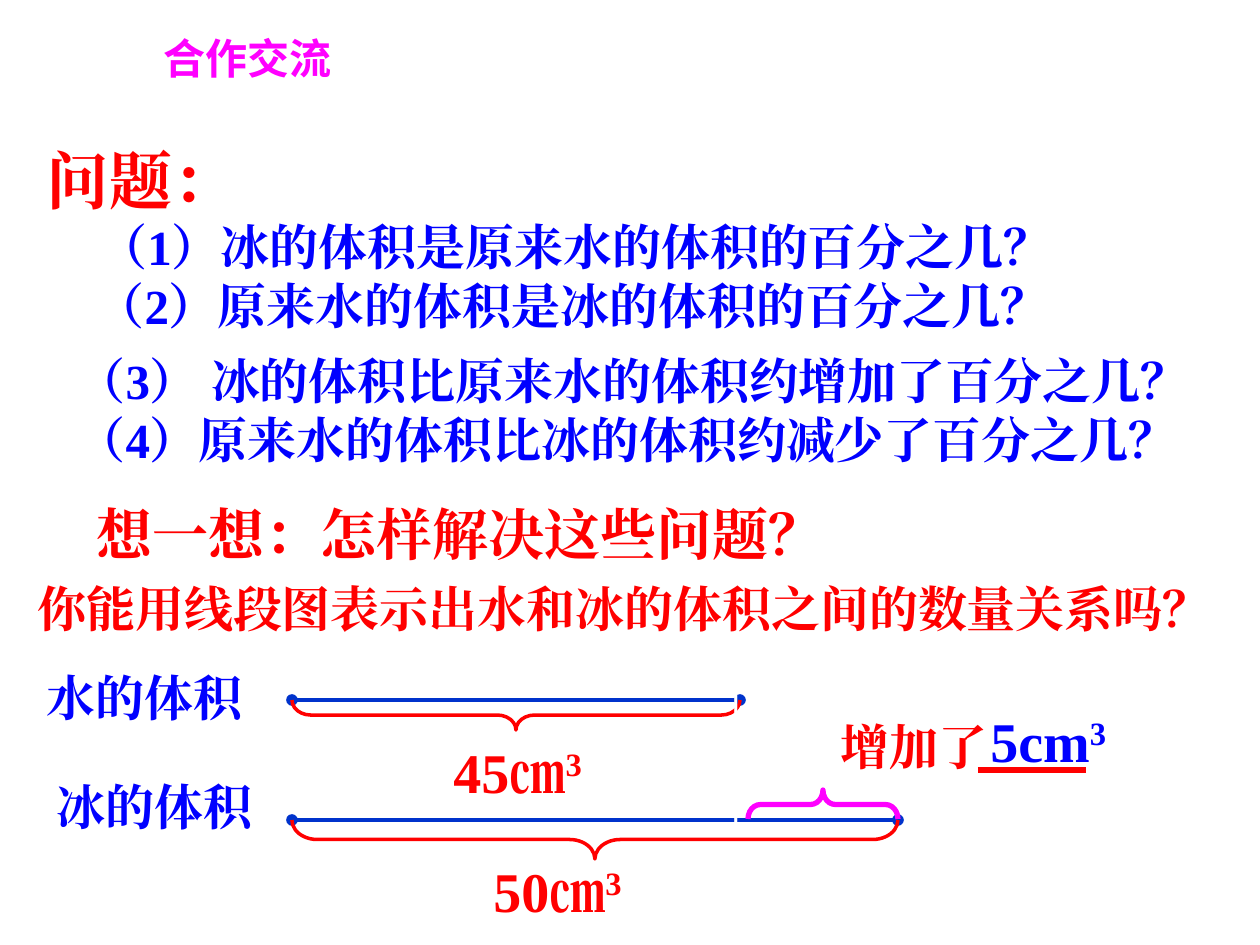
from pptx import Presentation
from pptx.dml.color import RGBColor
from pptx.enum.shapes import MSO_CONNECTOR, MSO_SHAPE
from pptx.enum.text import MSO_ANCHOR, MSO_AUTO_SIZE, PP_ALIGN
from pptx.oxml.ns import qn
from pptx.util import Pt
from lxml import etree

STRAIGHT = MSO_CONNECTOR.STRAIGHT
LEFT_BRACE, RIGHT_BRACE = MSO_SHAPE.LEFT_BRACE, MSO_SHAPE.RIGHT_BRACE
TOP, NO_FIT = MSO_ANCHOR.TOP, MSO_AUTO_SIZE.NONE
LEFT, CENTER = PP_ALIGN.LEFT, PP_ALIGN.CENTER

PX = 914400 / 126
SERIF, SANS = "Times New Roman", "Noto Sans CJK SC"
COLORS = {"red": "FF0000", "blue": "0000FF", "magenta": "FF00FF",
          "bar": "0033CC", "white": "FFFFFF"}
BAR_LEFT, WATER_END, ICE_END = 292, 740, 898
WATER_Y, ICE_Y = 700, 820


def px(length):
    return round(length * PX)


def rgb(name):
    return RGBColor.from_string(COLORS[name])


def format_span(span, size, color, font=SERIF):
    span.font.size = Pt(size)
    span.font.bold = True
    span.font.name = font
    span.font.color.rgb = rgb(color)
    east_asian = etree.SubElement(span._r.get_or_add_rPr(), qn("a:ea"))
    east_asian.set("typeface", font)


def place(box, left, top, width, height, wrap=True):
    box.left, box.top = px(left), px(top)
    box.width, box.height = px(width), px(height)
    frame = box.text_frame
    frame.word_wrap = wrap
    frame.auto_size = NO_FIT
    frame.vertical_anchor = TOP


def add_label(page, text, area, size, color, power="", wrap=True):
    """Add a one-line text box, with an optional superscript at its end."""
    box = page.shapes.add_textbox(0, 0, 0, 0)
    place(box, *area, wrap=wrap)
    para = box.text_frame.paragraphs[0]
    para.text = text
    if power:
        span = para.add_run()
        span.text = power
        span._r.get_or_add_rPr().set("baseline", "30000")
    for span in para.runs:
        format_span(span, size, color)


def fill_title(box, text):
    place(box, 84, 26, 328, 110, wrap=False)
    box.text_frame.text = text
    para = box.text_frame.paragraphs[0]
    para.alignment = CENTER
    format_span(para.runs[0], 24, "magenta", SANS)


def fill_list(box, area, rows):
    """Fill a body placeholder with rows of (text, indent, size, color)."""
    place(box, *area)
    box.text_frame.text = "\n".join(row[0] for row in rows)
    for para, (_, indent, size, color) in zip(box.text_frame.paragraphs, rows):
        properties = para._p.get_or_add_pPr()
        properties.set("marL", str(px(indent)))
        properties.set("indent", "0")
        etree.SubElement(properties, qn("a:buNone"))
        para.alignment = LEFT
        para.space_before = Pt(0)
        format_span(para.runs[0], size, color)


def add_line(page, left, right, y, color, width, dots=False):
    line = page.shapes.add_connector(STRAIGHT, px(left), px(y), px(right), px(y))
    line.line.color.rgb = rgb(color)
    line.line.width = Pt(width)
    if dots:
        for end in ("a:headEnd", "a:tailEnd"):
            etree.SubElement(line.line._get_or_add_ln(), qn(end)).set("type", "oval")
    etree.SubElement(line._element.spPr, qn("a:effectLst"))


def add_brace(page, kind, left, right, top, depth, curve, color, width):
    """Lay a brace on its side so that it spans left to right."""
    length = right - left
    x = (left + right - depth) / 2
    y = top + (depth - length) / 2
    brace = page.shapes.add_shape(kind, px(x), px(y), px(depth), px(length))
    brace.rotation = 270
    brace.adjustments[0] = curve
    brace.fill.background()
    brace.line.color.rgb = rgb(color)
    brace.line.width = Pt(width)
    brace.shadow.inherit = False


def add_questions(page):
    title, first, second = page.placeholders
    fill_title(title, "合作交流")
    fill_list(first, (34, 135, 1201, 207), [
        ("问题：", 0, 36, "red"),
        ("（1）冰的体积是原来水的体积的百分之几？", 52, 28, "blue"),
        ("（2）原来水的体积是冰的体积的百分之几？", 49, 28, "blue")])
    fill_list(second, (64, 344, 1196, 131), [
        ("（3） 冰的体积比原来水的体积约增加了百分之几？", 0, 28, "blue"),
        ("（4）原来水的体积比冰的体积约减少了百分之几？", 0, 28, "blue")])
    add_label(page, "想一想：怎样解决这些问题？", (84, 493, 1072, 81), 32, "red")
    add_label(page, "你能用线段图表示出水和冰的体积之间的数量关系吗？",
              (25, 572, 1235, 72), 28, "red")


def add_diagram(page):
    add_line(page, BAR_LEFT, WATER_END, WATER_Y, "bar", 2.25, dots=True)
    add_brace(page, LEFT_BRACE, BAR_LEFT, WATER_END, WATER_Y, 30, 0.62, "red", 2)
    add_line(page, BAR_LEFT, ICE_END, ICE_Y, "bar", 2.25, dots=True)
    add_brace(page, LEFT_BRACE, BAR_LEFT, ICE_END, ICE_Y, 39, 0.65, "red", 2)
    for top in (670, 770):
        add_label(page, "∣", (709, top, 67, 63), 24, "white", wrap=False)
    add_brace(page, RIGHT_BRACE, 748, ICE_END, 790, 29, 0.43, "magenta", 3)

    add_label(page, "水的体积", (34, 661, 228, 72), 28, "blue")
    add_label(page, "冰的体积", (44, 770, 248, 72), 28, "blue")
    add_label(page, "45㎝", (441, 731, 198, 81), 32, "red", power="3")
    add_label(page, "50㎝", (481, 850, 278, 81), 32, "red", power="3")
    add_label(page, "增加了", (828, 710, 248, 72), 28, "red")
    add_line(page, 978, 1086, 770, "red", 3)
    add_label(page, "5cm", (978, 700, 213, 81), 32, "blue", power="3")


def main():
    deck = Presentation()
    deck.slide_width, deck.slide_height = px(1260), px(945)
    page = deck.slides.add_slide(deck.slide_layouts[3])
    add_questions(page)
    add_diagram(page)
    deck.save("out.pptx")


if __name__ == "__main__":
    main()
